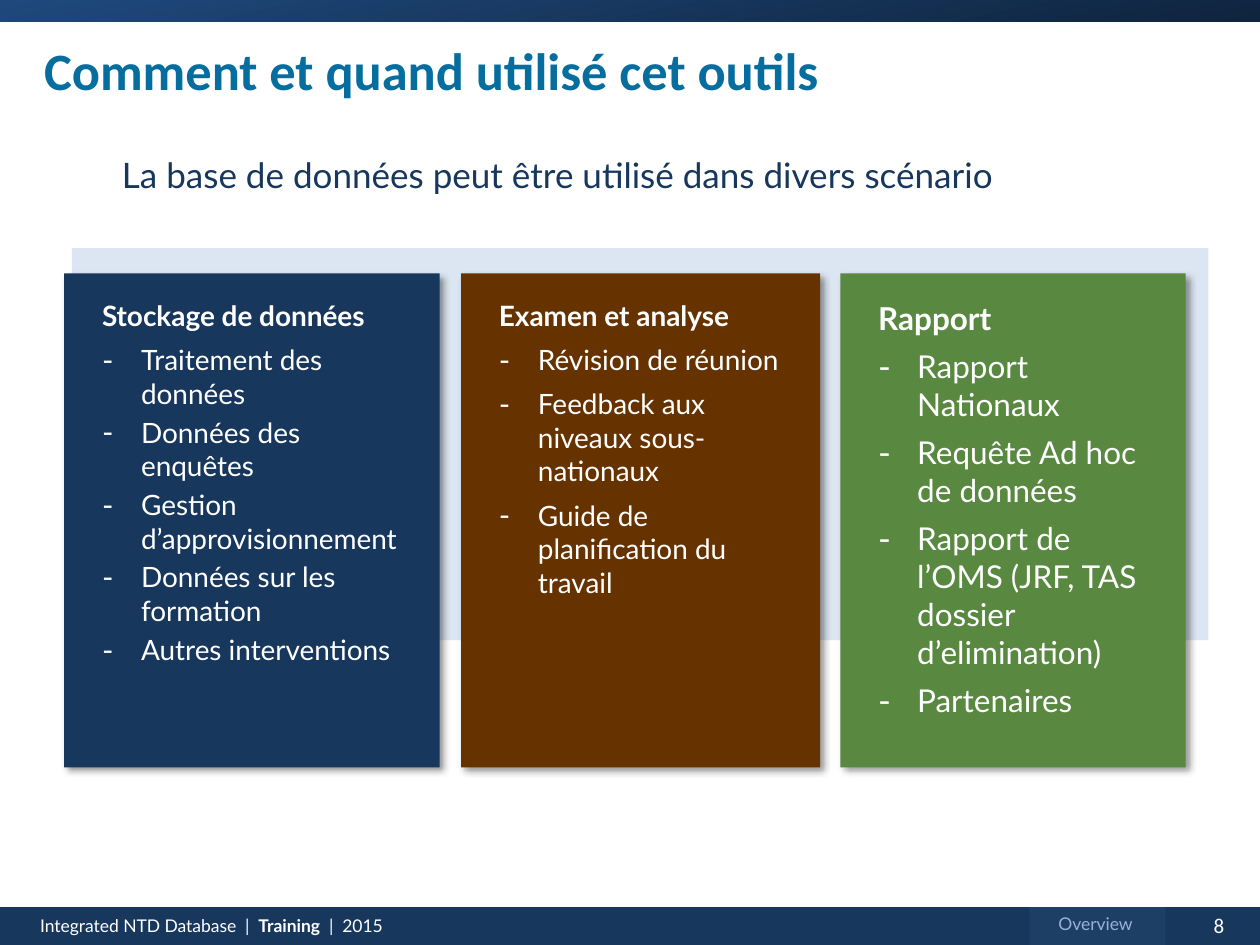
from lxml.etree import SubElement
from pptx import Presentation
from pptx.dml.color import RGBColor
from pptx.enum.shapes import MSO_SHAPE
from pptx.enum.text import MSO_ANCHOR, PP_ALIGN
from pptx.oxml.ns import qn
from pptx.util import Inches, Pt

NAVY, WHITE = "17375D", "FFFFFF"
CARD_TOP, CARD_HEIGHT = 2.17, 3.92
CARDS = [
    dict(left=0.51, width=2.98, fill=NAVY, size=16, gap=3,
         heading="Stockage de données",
         points=["Traitement des données", "Données des enquêtes",
                 "Gestion d’approvisionnement", "Données sur les formation",
                 "Autres interventions"]),
    dict(left=3.66, width=2.85, fill="663300", size=16, gap=6,
         heading="Examen et analyse",
         points=["Révision de réunion", "Feedback aux niveaux sous-nationaux",
                 "Guide de planification du travail"]),
    dict(left=6.67, width=2.74, fill="598841", size=18, gap=6,
         heading="Rapport",
         points=["Rapport Nationaux", "Requête Ad hoc de données",
                 "Rapport de l’OMS (JRF, TAS dossier d’elimination)",
                 "Partenaires"]),
]


def rgb(value):
    """Turn a hex string into a colour."""
    return RGBColor.from_string(value)


def apply(target, formats):
    """Set every attribute named in a dict of format values."""
    for name, value in formats.items():
        setattr(target, name, value)


def add_panel(slide, box, fill=None):
    """Add a rectangle without outline or shadow."""
    panel = slide.shapes.add_shape(MSO_SHAPE.RECTANGLE, *map(Inches, box))
    panel.shadow.inherit = False
    panel.line.fill.background()
    if fill:
        panel.fill.solid()
        panel.fill.fore_color.rgb = rgb(fill)
    return panel


def set_frame(frame, margins=(0.1, 0.05, 0.1, 0.05), wrap=True, anchor=MSO_ANCHOR.TOP):
    """Set the margins, wrapping and anchor of a text frame."""
    left, top, right, bottom = map(Inches, margins)
    apply(frame, dict(margin_left=left, margin_top=top, margin_right=right,
                      margin_bottom=bottom, word_wrap=wrap, vertical_anchor=anchor))


def write(paragraph, wording, size, color=WHITE, font="Lato", bold=False):
    """Append one formatted run to a paragraph."""
    run = paragraph.add_run()
    run.text = wording
    apply(run.font, dict(name=font, size=Pt(size), bold=bold))
    run.font.color.rgb = rgb(color)


def add_label(slide, box, runs, align=PP_ALIGN.LEFT, **frame_formats):
    """Add a one-paragraph text box and return its paragraph."""
    frame = slide.shapes.add_textbox(*map(Inches, box)).text_frame
    set_frame(frame, **frame_formats)
    paragraph = frame.paragraphs[0]
    paragraph.alignment = align
    for run in runs:
        write(paragraph, **run)
    return paragraph


def indent(paragraph, left, first=0):
    """Set the left and first-line indents of a paragraph."""
    properties = paragraph._p.get_or_add_pPr()
    properties.set("marL", str(Inches(left)))
    properties.set("indent", str(Inches(first)))
    return properties


def add_dash(paragraph):
    """Give a paragraph a hanging dash bullet."""
    properties = indent(paragraph, 0.31, -0.31)
    SubElement(properties, qn("a:buSzPct"), val="110000")
    SubElement(properties, qn("a:buFont"), typeface="Lato")
    SubElement(properties, qn("a:buChar"), char="-")


def add_shadow(panel):
    """Cast a soft shadow down and to the right."""
    effects = panel._element.spPr.find(qn("a:effectLst"))
    shadow = SubElement(effects, qn("a:outerShdw"), blurRad=str(Pt(4)), dist=str(Pt(3)),
                        dir="2700000", algn="tl", rotWithShape="0")
    color = SubElement(shadow, qn("a:srgbClr"), val="000000")
    SubElement(color, qn("a:alpha"), val="40000")


def add_header(slide, left, top, width):
    """Place the gradient band and the slide title."""
    band = add_panel(slide, (left, top, width, 0.17))
    band.fill.gradient()
    band.fill.gradient_angle = 282
    for stop, color in zip(band.fill.gradient_stops, ("1F497D", "0F243E")):
        stop.color.rgb = rgb(color)
    add_label(slide, (left + 0.15, top + 0.23, 6.62, 0.64),
              [dict(wording="Comment et quand utilisé cet outils", size=30,
                    color="066E9F", font="Calibri", bold=True)],
              margins=(0.2, 0.05, 0.2, 0.05), wrap=False, anchor=MSO_ANCHOR.MIDDLE)


def add_footer(slide, left, top, width, height):
    """Place the footer bar, its caption, section tab and page number."""
    add_panel(slide, (left, top, width, height), NAVY)
    add_panel(slide, (left + 8.17, top, 1.08, height), "1E3F65")
    add_label(slide, (left + 0.22, top + 0.01, 4.53, 0.27),
              [dict(wording="Integrated NTD Database  |  ", size=10),
               dict(wording="Training", size=10, bold=True),
               dict(wording="  |  2015", size=10)])
    add_label(slide, (left + 8.17, top, 1.05, 0.27),
              [dict(wording="Overview", size=10, color="95B3D7")], PP_ALIGN.CENTER)
    add_label(slide, (left + 9.35, top - 0.01, 0.65, 0.3),
              [dict(wording="8", size=12, font="Calibri")], PP_ALIGN.CENTER)


def add_intro(slide, box):
    """Place the introductory sentence."""
    sentence = add_label(
        slide, box,
        [dict(wording="La base de données peut être utilisé dans divers scénario",
              size=20, color=NAVY)])
    indent(sentence, 0.2)
    apply(sentence, dict(space_before=Pt(4), space_after=Pt(8)))


def add_card(slide, box, fill, size, gap, heading, points):
    """Place one scenario card with its heading and dashed points."""
    card = add_panel(slide, box, fill)
    add_shadow(card)
    frame = card.text_frame
    set_frame(frame, margins=(0.3, 0.2, 0.2, 0))
    for index, wording in enumerate([heading, *points]):
        paragraph = frame.add_paragraph() if index else frame.paragraphs[0]
        apply(paragraph, dict(alignment=PP_ALIGN.LEFT, space_after=Pt(gap if index else 6)))
        if index:
            add_dash(paragraph)
        write(paragraph, wording, size, bold=not index)


def main():
    """Build and save the slide."""
    deck = Presentation()
    apply(deck, dict(slide_width=Inches(10), slide_height=Inches(7.5)))
    slide = deck.slides.add_slide(deck.slide_layouts[6])
    add_footer(slide, 0, 7.2, 10, 0.3)
    add_panel(slide, (0.57, 1.97, 9.02, 3.11), "DCE6F2")
    add_intro(slide, (0.67, 1.17, 8.5, 0.5))
    for card in CARDS:
        content = dict(card)
        box = (content.pop("left"), CARD_TOP, content.pop("width"), CARD_HEIGHT)
        add_card(slide, box, **content)
    add_header(slide, 0, 0, 10)
    deck.save("out.pptx")


if __name__ == "__main__":
    main()
